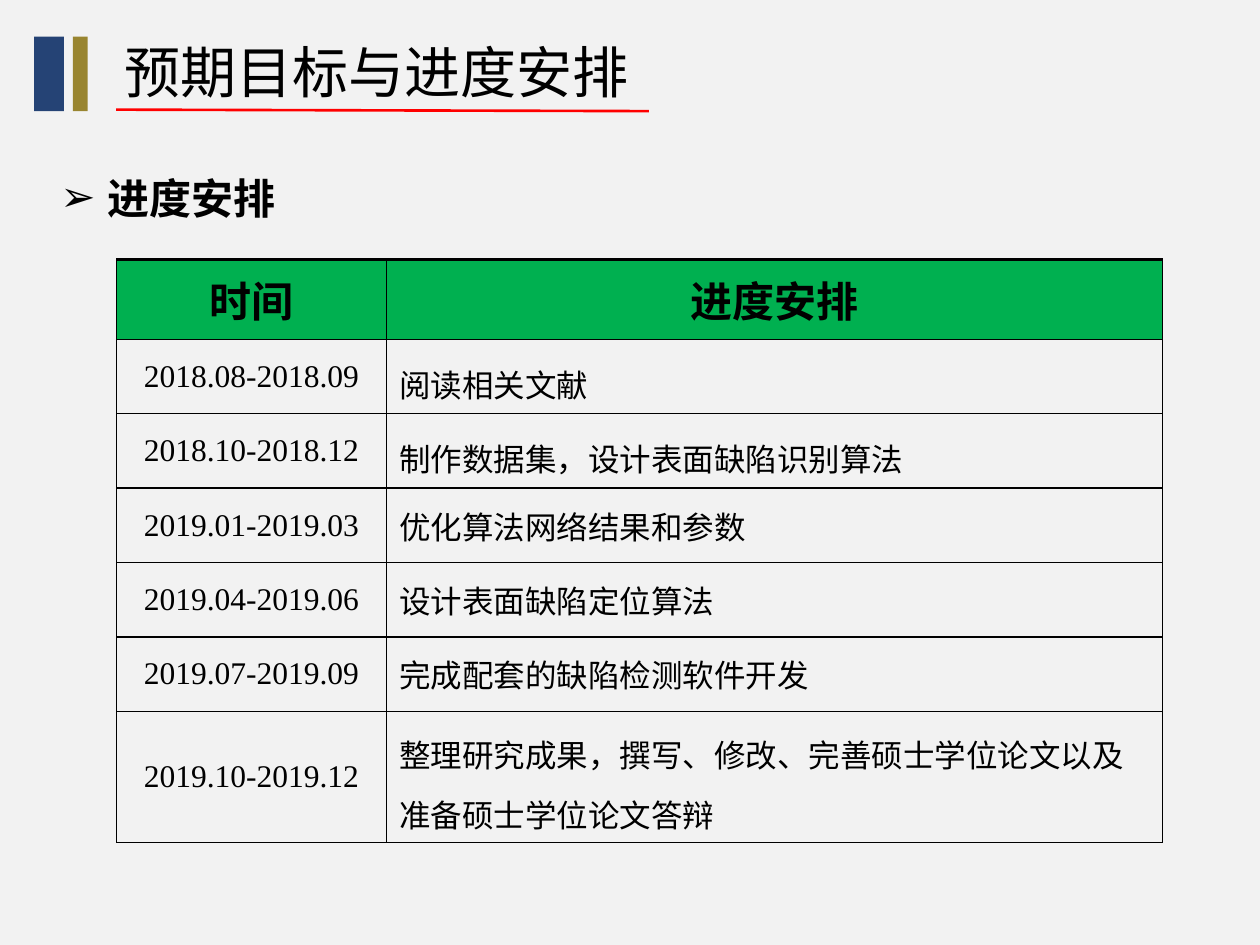
"""Build the schedule slide with a heading and a timetable."""
from dataclasses import dataclass

from lxml.etree import SubElement
from pptx import Presentation
from pptx.dml.color import RGBColor
from pptx.enum.shapes import MSO_CONNECTOR as Connector, MSO_SHAPE as Shape
from pptx.enum.text import MSO_ANCHOR as Anchor, MSO_AUTO_SIZE as AutoSize, PP_ALIGN as Align
from pptx.oxml.ns import qn
from pptx.util import Cm, Pt


@dataclass(frozen=True)
class Theme:
    background: str = "F2F2F2"
    navy: str = "254375"
    gold: str = "998530"
    red: str = "FF0000"
    green: str = "00B050"
    ink: str = "000000"
    title_size: int = 32
    heading_size: int = 24
    body_size: int = 18
    title_font: str = "Noto Sans CJK SC"
    body_font: str = "Arial"
    date_font: str = "Times New Roman"


THEME = Theme()
HEADER = ("时间", "进度安排")
SCHEDULE = [
    ("2018.08-2018.09", "阅读相关文献", 1.3),
    ("2018.10-2018.12", "制作数据集，设计表面缺陷识别算法", 1.3),
    ("2019.01-2019.03", "优化算法网络结果和参数", 1),
    ("2019.04-2019.06", "设计表面缺陷定位算法", 1),
    ("2019.07-2019.09", "完成配套的缺陷检测软件开发", 1),
    ("2019.10-2019.12", "整理研究成果，撰写、修改、完善硕士学位论文以及准备硕士学位论文答辩", 1.3),
]
COLUMN_WIDTHS = (Cm(5.44), Cm(15.65))
ROW_HEIGHTS = [Cm(1.6)] + [Cm(1.5)] * 5 + [Cm(2.64)]


def rgb(color):
    return RGBColor.from_string(color)


def style_runs(paragraph, size, font, bold=False):
    for run in paragraph.runs:
        run.font.size = Pt(size)
        run.font.name = font
        run.font.bold = bold
        run.font.color.rgb = rgb(THEME.ink)
        east_asian = SubElement(run.font._element, qn("a:ea"))
        east_asian.set("typeface", THEME.title_font)


def add_bar(slide, left, width, color):
    bar = slide.shapes.add_shape(Shape.RECTANGLE, left, Cm(0.74), width, Cm(1.5))
    bar.shadow.inherit = False
    bar.fill.solid()
    bar.fill.fore_color.rgb = rgb(color)
    bar.line.fill.background()


def add_title(slide, text):
    box = slide.shapes.add_textbox(Cm(2.01), Cm(0.64), Cm(11.05), Cm(1.62))
    frame = box.text_frame
    frame.word_wrap = True
    frame.auto_size = AutoSize.SHAPE_TO_FIT_TEXT
    frame.margin_left = Cm(0.5)
    frame.text = text
    style_runs(frame.paragraphs[0], THEME.title_size, THEME.title_font)


def add_underline(slide):
    line = slide.shapes.add_connector(Connector.STRAIGHT, Cm(2.34), Cm(2.21), Cm(13.08), Cm(2.24))
    line.line.color.rgb = rgb(THEME.red)
    line.line.width = Pt(1.5)
    SubElement(line._element.spPr, qn("a:effectLst"))


def add_heading(slide, text):
    box = slide.shapes.add_textbox(Cm(0.97), Cm(2.84), Cm(4.9), Cm(1.55))
    frame = box.text_frame
    frame.word_wrap = False
    frame.auto_size = AutoSize.SHAPE_TO_FIT_TEXT
    frame.text = text
    paragraph = frame.paragraphs[0]
    properties = paragraph._p.get_or_add_pPr()
    properties.set("marL", str(Cm(0.95)))
    properties.set("indent", str(-Cm(0.95)))
    SubElement(properties, qn("a:buFont")).set("typeface", THEME.body_font)
    SubElement(properties, qn("a:buChar")).set("char", "➢")
    paragraph.line_spacing = 1.5
    paragraph.space_after = Pt(6)
    style_runs(paragraph, THEME.heading_size, THEME.body_font, bold=True)


def set_borders(cell, left, right, top, bottom):
    properties = cell._tc.get_or_add_tcPr()
    widths = {"a:lnL": left, "a:lnR": right, "a:lnT": top, "a:lnB": bottom}
    for tag, width in widths.items():
        border = SubElement(properties, qn(tag), w=str(Pt(width)))
        fill = SubElement(border, qn("a:solidFill"))
        SubElement(fill, qn("a:srgbClr"), val=THEME.ink)


def fill_cell(cell, text, size, font, align=Align.CENTER, bold=False, color=None):
    cell.vertical_anchor = Anchor.MIDDLE
    cell.text_frame.text = text
    paragraph = cell.text_frame.paragraphs[0]
    paragraph.alignment = align
    style_runs(paragraph, size, font, bold)
    if color:
        cell.fill.solid()
        cell.fill.fore_color.rgb = rgb(color)
    else:
        cell.fill.background()


def add_schedule(slide):
    frame = slide.shapes.add_table(len(ROW_HEIGHTS), len(COLUMN_WIDTHS), Cm(2.35), Cm(5.24),
                                   sum(COLUMN_WIDTHS), sum(ROW_HEIGHTS))
    table = frame.table
    table.horz_banding = False
    for column, width in zip(table.columns, COLUMN_WIDTHS):
        column.width = width
    for row, height in zip(table.rows, ROW_HEIGHTS):
        row.height = height
    for index in range(len(ROW_HEIGHTS)):
        top = 2 if index == 0 else 1
        set_borders(table.cell(index, 0), 0.75, 1, top, 1)
        set_borders(table.cell(index, 1), 1, 0.75, top, 1)
    for index, text in enumerate(HEADER):
        fill_cell(table.cell(0, index), text, THEME.heading_size, THEME.body_font,
                  bold=True, color=THEME.green)
    for index, (period, task, line_spacing) in enumerate(SCHEDULE, start=1):
        fill_cell(table.cell(index, 0), period, THEME.body_size, THEME.date_font)
        task_cell = table.cell(index, 1)
        fill_cell(task_cell, task, THEME.body_size, THEME.body_font, Align.LEFT)
        task_cell.text_frame.paragraphs[0].line_spacing = line_spacing


def main():
    presentation = Presentation()
    presentation.slide_width = Cm(25.4)
    presentation.slide_height = Cm(19.05)
    slide = presentation.slides.add_slide(presentation.slide_layouts[6])
    slide.background.fill.solid()
    slide.background.fill.fore_color.rgb = rgb(THEME.background)
    add_bar(slide, Cm(0.69), Cm(0.6), THEME.navy)
    add_bar(slide, Cm(1.47), Cm(0.3), THEME.gold)
    add_schedule(slide)
    add_title(slide, "预期目标与进度安排")
    add_underline(slide)
    add_heading(slide, "进度安排")
    presentation.save("out.pptx")


if __name__ == "__main__":
    main()
